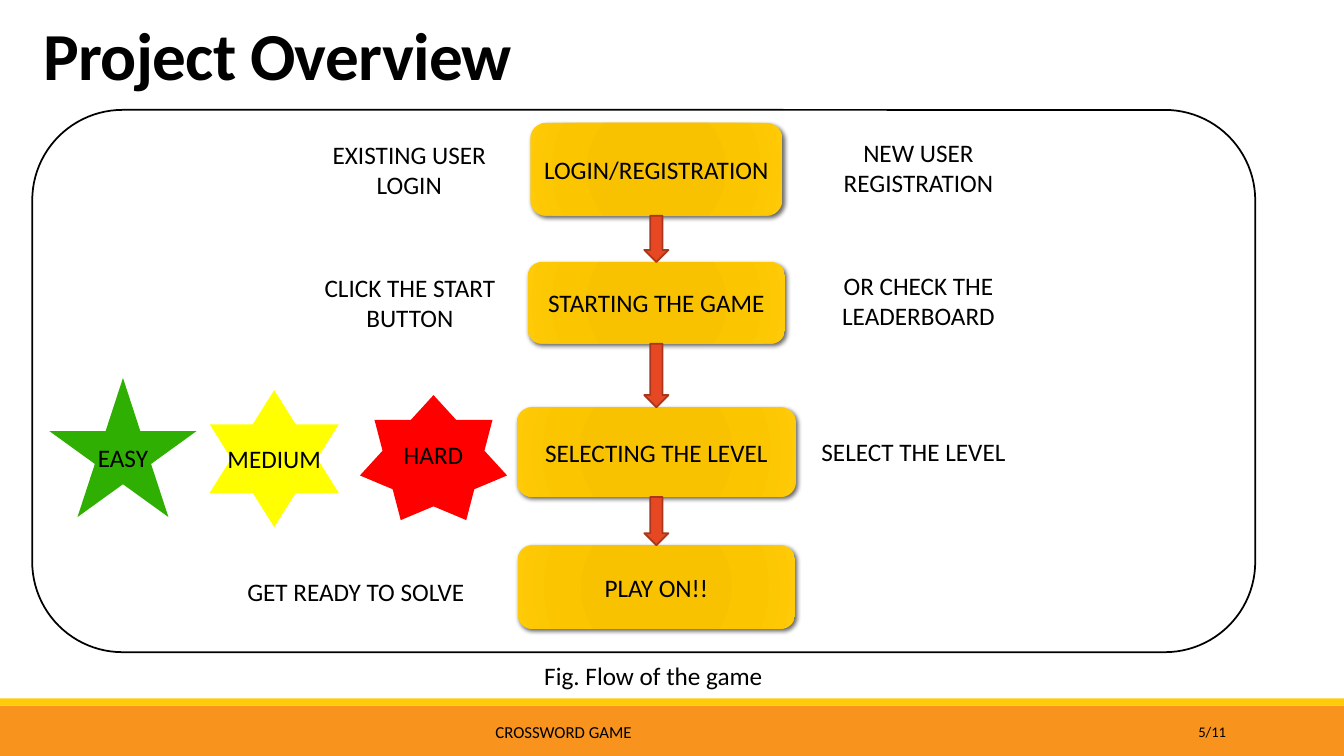
import pptx
import pptx.util
import pptx.dml.color
import pptx.enum.shapes
import pptx.enum.text
import pptx.oxml

Inches, Pt = pptx.util.Inches, pptx.util.Pt
RGBColor = pptx.dml.color.RGBColor
Shape = pptx.enum.shapes.MSO_SHAPE
Align = pptx.enum.text.PP_ALIGN
Anchor = pptx.enum.text.MSO_ANCHOR

BLACK = RGBColor(0, 0, 0)
ORANGE = RGBColor(0xF8, 0x93, 0x1D)
GOLD = RGBColor(0xFF, 0xCA, 0x08)
ARROW_RED = RGBColor(0xE6, 0x48, 0x23)
ARROW_EDGE = RGBColor(0xAA, 0x35, 0x1A)
GREEN = RGBColor(0x2F, 0xAF, 0x01)
YELLOW = RGBColor(0xFF, 0xFF, 0)
RED = RGBColor(0xFF, 0, 0)

TITLE = "Project Overview"
FLOW_CENTER = 6.51
ARROW_WIDTH = 0.24
# text, top, width, height
STEPS = [
    ("LOGIN/REGISTRATION", 1.22, 2.5, 0.92),
    ("STARTING THE GAME", 2.6, 2.55, 0.81),
    ("SELECTING THE LEVEL", 4.04, 2.77, 0.89),
    ("PLAY ON!!", 5.41, 2.75, 0.83),
]
# text, left, top, width, height
NOTES = [
    ("EXISTING USER LOGIN", 2.98, 1.33, 2.16, 0.71),
    ("NEW USER REGISTRATION", 8.26, 1.31, 1.7, 0.71),
    ("CLICK THE START BUTTON", 3.12, 2.65, 1.89, 0.71),
    ("OR CHECK THE LEADERBOARD", 7.96, 2.63, 2.3, 0.71),
    ("SELECT THE LEVEL", 8.0, 4.28, 2.12, 0.4),
    ("GET READY TO SOLVE", 2.3, 5.67, 2.46, 0.4),
    ("Fig. Flow of the game", 5.27, 6.5, 2.42, 0.4),
]
# text, preset, fill, left, top, width, height
LEVELS = [
    ("EASY", Shape.STAR_5_POINT, GREEN, 0.49, 3.75, 1.46, 1.38),
    ("MEDIUM", Shape.STAR_6_POINT, YELLOW, 2.08, 3.87, 1.28, 1.36),
    ("HARD", Shape.STAR_7_POINT, RED, 3.57, 3.92, 1.46, 1.24),
]
# text, alignment, size, left, width
FOOTERS = [
    ("CROSSWORD GAME", Align.CENTER, 12, 4.03, 3.12),
    ("5/11", Align.RIGHT, 10.5, 10.83, 1.43),
]
STEP_GRADIENT = [(0, "F5C000"), (34, "F8C200"), (70, "FBC500"), (100, "FFCA08")]

NAMESPACE = 'xmlns:a="http://schemas.openxmlformats.org/drawingml/2006/main"'


def write(shape, text, size=18, align=Align.CENTER, wrap=True, **frame_format):
    frame = shape.text_frame
    frame.word_wrap = wrap
    for name, value in frame_format.items():
        setattr(frame, name, value)
    para = frame.paragraphs[0]
    para.alignment = align
    span = para.add_run()
    span.text = text
    font_format = {"name": "Calibri", "size": Pt(size)}
    for name, value in font_format.items():
        setattr(span.font, name, value)
    span.font.color.rgb = BLACK
    return span


def add_box(page, preset, left, top, width, height, fill=None, edge=None):
    shape = page.shapes.add_shape(
        preset, Inches(left), Inches(top), Inches(width), Inches(height))
    shape.shadow.inherit = False
    if fill is None:
        shape.fill.background()
    else:
        shape.fill.solid()
        shape.fill.fore_color.rgb = fill
    if edge is None:
        shape.line.fill.background()
    else:
        shape.line.color.rgb = edge
        shape.line.width = Pt(1.25)
    return shape


def add_label(page, text, left, top, width, height, **text_format):
    label = page.shapes.add_textbox(
        Inches(left), Inches(top), Inches(width), Inches(height))
    write(label, text, **text_format)


def glow_and_lift(shape):
    """Give a step its circular gold gradient and soft lower-right shadow."""
    stops = "".join(
        f'<a:gs pos="{place * 1000}"><a:srgbClr val="{color}"/></a:gs>'
        for place, color in STEP_GRADIENT)
    gradient = pptx.oxml.parse_xml(
        f'<a:gradFill {NAMESPACE} rotWithShape="1"><a:gsLst>{stops}</a:gsLst>'
        '<a:path path="circle"><a:fillToRect l="100000" t="100000" '
        'r="100000" b="100000"/></a:path></a:gradFill>')
    shadow = pptx.oxml.parse_xml(
        f'<a:outerShdw {NAMESPACE} blurRad="{Pt(3.5)}" dist="{Pt(2)}" '
        'dir="2700000" algn="tl" rotWithShape="0"><a:srgbClr val="000000">'
        '<a:alpha val="60000"/></a:srgbClr></a:outerShdw>')
    properties = shape._element.spPr
    solid = properties.find(pptx.oxml.ns.qn("a:solidFill"))
    properties.replace(solid, gradient)
    properties.find(pptx.oxml.ns.qn("a:effectLst")).append(shadow)


def add_title(page):
    title = page.shapes.title
    place = {"left": 0.33, "top": 0.2, "width": 5.12, "height": 1.21}
    for name, value in place.items():
        setattr(title, name, Inches(value))
    span = write(title, TITLE, size=48, align=Align.LEFT,
                 vertical_anchor=Anchor.TOP,
                 auto_size=pptx.enum.text.MSO_AUTO_SIZE.NONE)
    span.font.bold = True
    span._r.get_or_add_rPr().set("spc", "-50")
    title.text_frame.paragraphs[0].line_spacing = 0.85


def add_flow(page):
    for text, top, width, height in STEPS:
        step = add_box(page, Shape.ROUNDED_RECTANGLE, FLOW_CENTER - width / 2,
                       top, width, height, GOLD)
        glow_and_lift(step)
        write(step, text, wrap=False, vertical_anchor=Anchor.MIDDLE)
    for (_, top, _, height), (_, next_top, _, _) in zip(STEPS, STEPS[1:]):
        bottom = top + height
        add_box(page, Shape.DOWN_ARROW, FLOW_CENTER - ARROW_WIDTH / 2, bottom,
                ARROW_WIDTH, next_top - bottom, ARROW_RED, ARROW_EDGE)


def main():
    deck = pptx.Presentation()
    deck.slide_width, deck.slide_height = Inches(13.33), Inches(7.5)
    page = deck.slides.add_slide(deck.slide_layouts[5])

    add_box(page, Shape.RECTANGLE, 0, 7, 13.33, 0.5, ORANGE)
    add_box(page, Shape.RECTANGLE, 0, 6.93, 13.33, 0.07, GOLD)
    add_title(page)
    add_box(page, Shape.ROUNDED_RECTANGLE, 0.32, 1.09, 12.13, 5.38, edge=BLACK)
    add_flow(page)
    for text, preset, fill, *place in LEVELS:
        star = add_box(page, preset, *place, fill)
        write(star, text, wrap=False, vertical_anchor=Anchor.MIDDLE,
              margin_left=0, margin_right=0, margin_top=0, margin_bottom=0)
    for text, *place in NOTES:
        add_label(page, text, *place)
    for text, align, size, left, width in FOOTERS:
        add_label(page, text, left, 7.06, width, 0.4, size=size, align=align,
                  vertical_anchor=Anchor.MIDDLE)
    deck.save("out.pptx")


if __name__ == "__main__":
    main()
